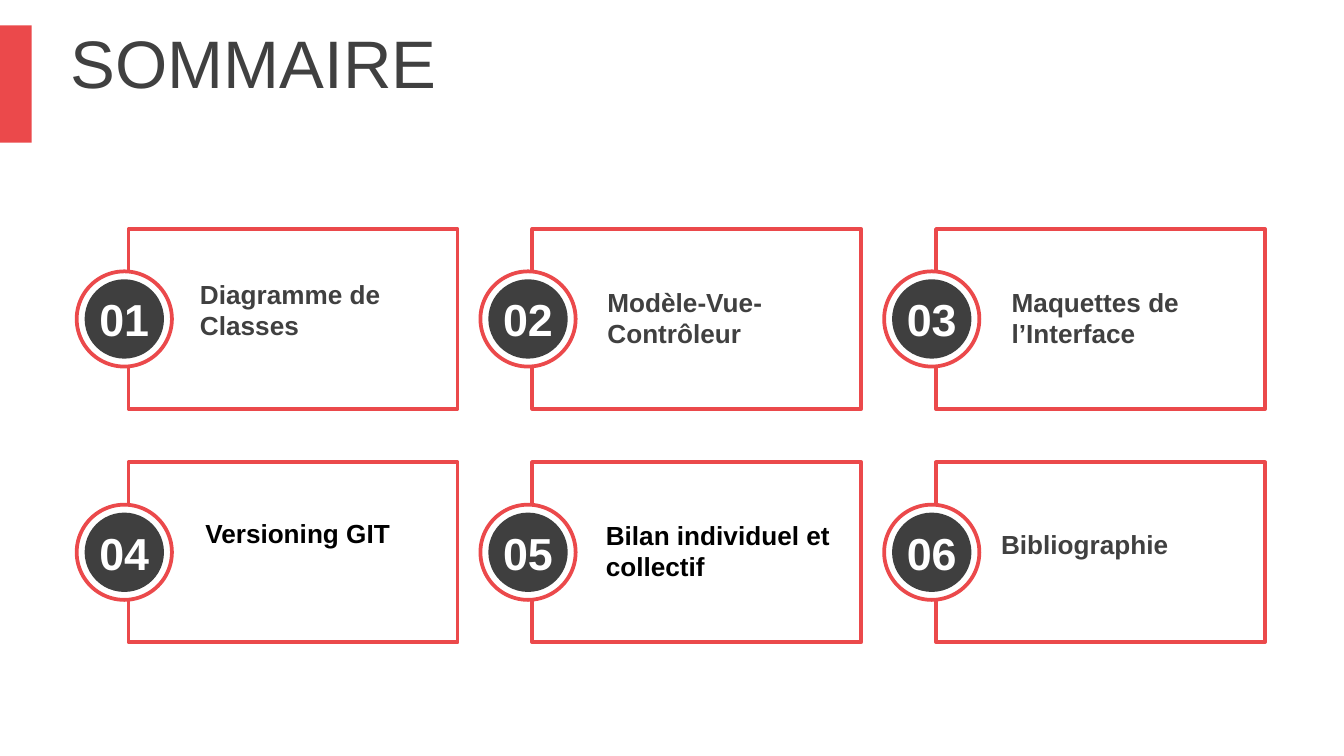
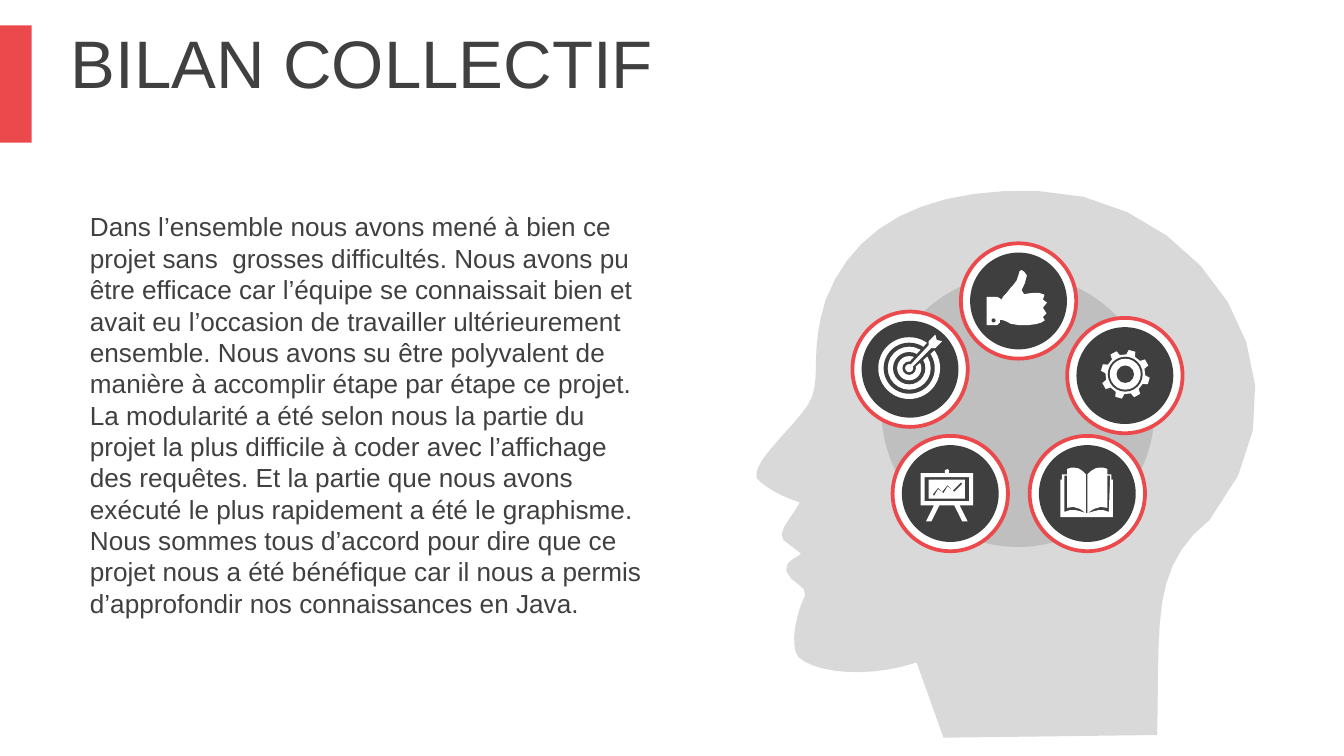
"""Build the summary and team review slides."""
from math import cos, dist, radians, sin

from pptx import Presentation
from pptx.dml.color import RGBColor
from pptx.enum.shapes import MSO_SHAPE
from pptx.enum.text import MSO_ANCHOR, PP_ALIGN
from pptx.util import Cm, Pt

RECT, OVAL = MSO_SHAPE.RECTANGLE, MSO_SHAPE.OVAL
TOP, MIDDLE = MSO_ANCHOR.TOP, MSO_ANCHOR.MIDDLE
LEFT, CENTER = PP_ALIGN.LEFT, PP_ALIGN.CENTER

FONT = "Arial"
RED, DARK, TEXT = "EB494B", "3F3F3F", "404040"
WHITE, BLACK = "FFFFFF", "000000"
HEAD_GREY, DISC_GREY = "D9D9D9", "BFBFBF"

TOPICS = [
    ("Diagramme de Classes", 3.53, 5.13, 2, TEXT),
    ("Modèle-Vue-Contrôleur", 11.23, 5.28, 2, TEXT),
    ("Maquettes de l’Interface", 18.87, 5.28, 2, TEXT),
    ("Versioning GIT", 3.63, 9.65, 1, BLACK),
    ("Bilan individuel et collectif", 11.2, 9.68, 2, BLACK),
    ("Bibliographie", 18.67, 9.86, 1, TEXT),
]
CARD_X, CARD_Y, CARD_W, CARD_H = 2.43, 4.33, 6.22, 3.4
STEP_X, STEP_Y, COLUMNS = 7.63, 4.41, 3

REVIEW = [
    "Dans l’ensemble nous avons mené à bien ce projet sans  grosses difficultés. "
    "Nous avons pu être efficace car l’équipe se connaissait bien et avait eu "
    "l’occasion de travailler ultérieurement ensemble. Nous avons su être "
    "polyvalent de manière à accomplir étape par étape ce projet.",
    "La modularité a été selon nous la partie du projet la plus difficile à coder "
    "avec l’affichage des requêtes. Et la partie que nous avons exécuté le plus "
    "rapidement a été le graphisme.",
    "Nous sommes tous d’accord pour dire que ce projet nous a été bénéfique car il "
    "nous a permis d’approfondir nos connaissances en Java.",
]
ICON_CENTRES = [(19.25, 5.69), (17.2, 6.98), (17.96, 9.33), (20.55, 9.33), (21.26, 7.1)]

UNIT = 0.0254
HEAD = """M 771 142 C 687 140 635 168 614 224 600 270 615 286 597 307 580 328 560 345 563 356
571 364 581 369 595 374 591 383 577 396 583 402 L 596 412 C 593 416 584 416 585 425
588 434 601 436 599 443 591 460 588 482 594 489 607 501 646 505 682 493 L 702 549 861 547
C 863 462 856 422 900 387 989 279 890 144 771 142"""
THUMB = """M 760 201 C 761 201 763 203 764 205 765 210 756 218 762 219
766 218 769 218 773 218 778 218 778 220 776 223 779 223 781 227 776 229
781 232 778 235 776 236 778 238 778 239 775 240 771 242 759 243 752 241
749 239 746 238 744 238 L 744 240 742 242 734 242 734 221 742 221 744 222 745 223
C 746 221 747 220 749 218 752 213 757 211 758 204 758 202 759 201 760 201"""
BOOK = """M 808 382 L 809 382 C 816 380 819 378 825 381 L 826 354 824 354 824 378
C 819 376 814 378 809 382 L 809 353 C 812 350 815 348 818 348 820 348 822 348 824 349
L 824 353 827 353 827 357 828 357 828 385 789 385 789 357 790 357 790 353 794 353 794 349
C 796 348 798 348 799 348 803 348 805 350 808 353 L 808 382 C 804 378 798 376 794 378
L 794 354 792 354 792 381 C 798 378 802 380 808 382"""
BOARD = """M 703 352 L 703 350 705 349 706 350 706 352 724 352 724 376 714 376 720 388 716 388
710 376 699 376 693 388 689 388 695 376 685 376 685 352
M 688 355 L 721 355 721 373 688 373 M 691 357 L 718 357 718 371 691 371
M 694 368 L 698 363 701 366 705 361 709 365 715 359 716 360 710 366 705 362 702 367 698 364
695 369"""
ARROW_GAP = "M 677 269 L 690 255 696 260 681 273"
ARROW = "M 696 249 L 697 253 701 254 696 259 693 259 679 273 677 272 691 257 691 254"
TARGET_CENTRE, TARGET_RADII = (676.5, 274), (23, 19, 16, 12, 9, 5, 3)
GEAR_CENTRE, GEAR_RADII = (837.3, 278.5), (13, 11.5, 6.5)
GEAR_TEETH, GEAR_TURN = 8, 16
TOOTH = [(-13, 14.8), (-8, 18.3), (8, 18.3), (13, 14.8)]
THUMB_BUTTON, BUTTON_RADIUS = (739.3, 238.5), (1.5,)


def rgb(color):
    return RGBColor.from_string(color)


def paint(sp, fill, line=None):
    sp.shadow.inherit = False
    sp.fill.solid()
    sp.fill.fore_color.rgb = rgb(fill)
    if line:
        sp.line.color.rgb = rgb(line)
        sp.line.width = Pt(2)
    else:
        sp.line.fill.background()


def add_box(s, kind, x, y, w, h, fill, line=None):
    paint(s.shapes.add_shape(kind, Cm(x), Cm(y), Cm(w), Cm(h)), fill, line)


def add_text(s, paragraphs, x, y, w, h, size, color=TEXT, bold=False,
             anchor=MIDDLE, align=LEFT, wrap=True):
    tf = s.shapes.add_textbox(Cm(x), Cm(y), Cm(w), Cm(h)).text_frame
    tf.word_wrap = wrap
    tf.vertical_anchor = anchor
    tf.text = "\n".join(paragraphs)
    for p in tf.paragraphs:
        p.alignment = align
        for r in p.runs:
            r.font.name = FONT
            r.font.size = Pt(size)
            r.font.bold = bold
            r.font.color.rgb = rgb(color)


def add_disc(s, cx, cy, d, fill, line=None):
    add_box(s, OVAL, cx - d / 2, cy - d / 2, d, d, fill, line)


def add_badge(s, cx, cy, outer, inner):
    add_disc(s, cx, cy, outer, WHITE, RED)
    add_disc(s, cx, cy, inner, DARK)


def add_rings(s, centre, radii, fills):
    cx, cy = (v * UNIT for v in centre)
    for i, radius in enumerate(radii):
        add_disc(s, cx, cy, 2 * radius * UNIT, fills[i % 2])


def bezier(a, b, c, d):
    steps = min(10, 2 + int(dist(a, d) / 8))
    for i in range(1, steps + 1):
        t = i / steps
        u = 1 - t
        yield tuple(u**3 * a[k] + 3 * u * u * t * b[k] + 3 * u * t * t * c[k] + t**3 * d[k]
                    for k in (0, 1))


def outline(text):
    contours, command, pending = [], "", []
    for token in text.split():
        if token.isalpha():
            command = token
            if command == "M":
                contours.append([])
            continue
        pending.append(int(token))
        if len(pending) == (6 if command == "C" else 2):
            points = list(zip(pending[::2], pending[1::2]))
            contour = contours[-1]
            contour.extend(bezier(contour[-1], *points) if command == "C" else points)
            pending = []
    return contours


def polar(centre, radius, angle):
    a = radians(angle)
    return centre[0] + radius * sin(a), centre[1] - radius * cos(a)


def gear():
    return [[polar(GEAR_CENTRE, radius, GEAR_TURN + i * 360 / GEAR_TEETH + turn)
             for i in range(GEAR_TEETH) for turn, radius in TOOTH]]


def add_outline(s, contours, fill):
    builder = None
    for contour in contours:
        start, *rest = [(Cm(x * UNIT), Cm(y * UNIT)) for x, y in contour]
        if builder:
            builder.move_to(*start)
        else:
            builder = s.shapes.build_freeform(*start)
        builder.add_line_segments(rest, close=True)
    paint(builder.convert_to_shape(), fill)


def add_slide(prs, title):
    s = prs.slides.add_slide(prs.slide_layouts[6])
    add_box(s, RECT, 0, 0.48, 0.6, 2.22, RED)
    add_text(s, [title], 1.09, 0.36, 19.4, 1.6, 36)
    return s


def add_summary(prs):
    s = add_slide(prs, "SOMMAIRE")
    for i, (topic, text_x, text_y, lines, color) in enumerate(TOPICS):
        row, column = divmod(i, COLUMNS)
        x, y = CARD_X + column * STEP_X, CARD_Y + row * STEP_Y
        cx, cy = x - 0.08, y + CARD_H / 2
        add_box(s, RECT, x, y, CARD_W, CARD_H, WHITE, RED)
        add_text(s, [topic], text_x, text_y, 5.05, 0.25 + 0.6 * lines, 14, color, True)
        add_badge(s, cx, cy, 1.8, 1.5)
        add_text(s, [f"{i + 1:02}"], cx - 0.74, cy - 0.64, 1.48, 1.28, 24, WHITE, True,
                 align=CENTER, wrap=False)


def add_review(prs):
    s = add_slide(prs, "BILAN COLLECTIF")
    add_outline(s, outline(HEAD), HEAD_GREY)
    add_disc(s, 19.24, 7.76, 5.16, DISC_GREY)
    for cx, cy in ICON_CENTRES:
        add_badge(s, cx, cy, 2.18, 1.83)
    add_text(s, REVIEW, 1.45, 3.86, 11.15, 9.14, 14, anchor=TOP)
    add_rings(s, TARGET_CENTRE, TARGET_RADII, (WHITE, DARK))
    for contours, fill in [
        (outline(THUMB), WHITE), (outline(BOOK), WHITE), (outline(ARROW_GAP), DARK),
        (outline(ARROW), WHITE), (gear(), WHITE), (outline(BOARD), WHITE),
    ]:
        add_outline(s, contours, fill)
    add_rings(s, GEAR_CENTRE, GEAR_RADII, (DARK, WHITE))
    add_rings(s, THUMB_BUTTON, BUTTON_RADIUS, (DARK, WHITE))


def main():
    prs = Presentation()
    prs.slide_width, prs.slide_height = Cm(25.4), Cm(14.29)
    add_summary(prs)
    add_review(prs)
    prs.save("out.pptx")


if __name__ == "__main__":
    main()
